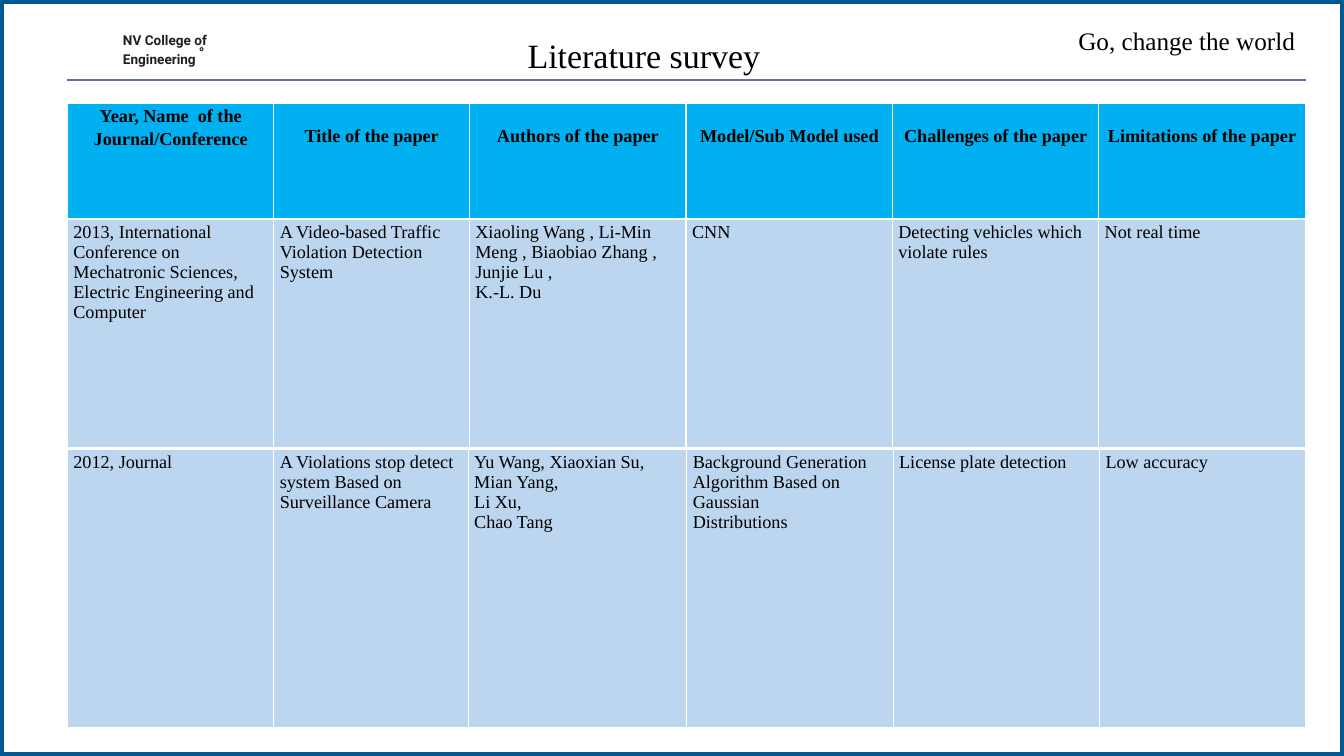
from lxml.etree import SubElement
from pptx import Presentation
from pptx.dml.color import RGBColor
from pptx.enum.shapes import MSO_CONNECTOR, MSO_SHAPE
from pptx.enum.text import MSO_ANCHOR, PP_ALIGN
from pptx.oxml.ns import qn
from pptx.util import Cm, Pt

SERIF = "Times New Roman"
HEADINGS = ["Year, Name  of the Journal/Conference", "Title of the paper",
            "Authors of the paper", "Model/Sub Model used",
            "Challenges of the paper", "Limitations of the paper"]
PAPER_2013 = ["2013, International Conference on Mechatronic Sciences, "
              "Electric Engineering and Computer",
              "A Video-based Traffic Violation Detection System",
              "Xiaoling Wang , Li-Min Meng , Biaobiao Zhang , Junjie Lu ,\nK.-L. Du",
              "CNN", "Detecting vehicles which violate rules", "Not real time"]
PAPER_2012 = ["2012, Journal",
              "A Violations stop detect system Based on\nSurveillance Camera",
              "Yu Wang, Xiaoxian Su, Mian Yang,\nLi Xu,\nChao Tang",
              "Background Generation Algorithm Based on Gaussian\nDistributions",
              "License plate detection", "Low accuracy"]


def rgb(color):
    return RGBColor.from_string(color)


def style_text(tf, size, font=SERIF, color="000000", bold=False,
               align=PP_ALIGN.LEFT, spacing=None):
    for p in tf.paragraphs:
        p.alignment = align
        p.line_spacing = spacing
        p.font.size = Pt(size)
        p.font.name = font
        p.font.bold = bold
        p.font.color.rgb = rgb(color)


def add_text(s, x, y, w, h, text, size, **style):
    tf = s.shapes.add_textbox(Cm(x), Cm(y), Cm(w), Cm(h)).text_frame
    tf.word_wrap = True
    tf.text = text
    style_text(tf, size, **style)
    return tf


def add_frame(s, w, h):
    sp = s.shapes.add_shape(MSO_SHAPE.RECTANGLE, 0, 0, w, h)
    sp.shadow.inherit = False
    sp.fill.solid()
    sp.fill.fore_color.rgb = rgb("FFFFFF")
    sp.line.color.rgb = rgb("005893")
    sp.line.width = Pt(6)


def add_header(s, x, y, w):
    # Rule under the header
    rule = s.shapes.add_connector(MSO_CONNECTOR.STRAIGHT, Cm(x), Cm(y + 1.27),
                                  Cm(x + w), Cm(y + 1.27))
    rule.line.color.rgb = rgb("5E6DB3")
    rule.line.width = Pt(1.25)
    SubElement(rule._element.spPr, qn("a:effectLst"))

    # College name and its small mark
    tf = add_text(s, x + 1.37, y - 0.02, 2.31, 0.84, "NV College of\nEngineering",
                  9.7, font="Roboto", color="231F20", bold=True, spacing=1.12)
    tf.margin_left = tf.margin_top = Cm(0.03)
    tf.margin_right = tf.margin_bottom = 0
    tf.paragraphs[1].space_before = Pt(0.8)
    mark = s.shapes.add_shape(MSO_SHAPE.DONUT, Cm(x + 3.33), Cm(y + 0.45),
                              Cm(0.1), Cm(0.1))
    mark.shadow.inherit = False
    mark.fill.solid()
    mark.fill.fore_color.rgb = rgb("231F20")
    mark.line.fill.background()

    # Motto and title
    tf = add_text(s, x + w - 6.23, y - 0.07, 6.2, 0.79, "Go, change the world", 18,
                  align=PP_ALIGN.RIGHT, spacing=0.9)
    tf.vertical_anchor = MSO_ANCHOR.MIDDLE
    add_text(s, x + 8.18, y, 12.7, 1.3, "Literature survey", 24.3,
             align=PP_ALIGN.CENTER)


def add_borders(cell):
    tc_pr = cell._tc.get_or_add_tcPr()
    for side, width in (("L", 1), ("R", 1), ("T", 1), ("B", 3)):
        ln = SubElement(tc_pr, qn(f"a:ln{side}"), w=str(Pt(width)))
        fill = SubElement(ln, qn("a:solidFill"))
        SubElement(fill, qn("a:srgbClr"), val="FFFFFF")


def add_row_table(s, x, y, widths, h, texts, heading=False):
    tbl = s.shapes.add_table(1, len(texts), Cm(x), Cm(y), Cm(sum(widths)),
                             Cm(h)).table
    tbl.first_row = tbl.horz_banding = False
    for i, (width, text) in enumerate(zip(widths, texts)):
        tbl.columns[i].width = Cm(width)
        cell = tbl.cell(0, i)
        add_borders(cell)
        cell.fill.solid()
        cell.fill.fore_color.rgb = rgb("00B0F0" if heading else "BBD6EE")
        cell.text = text
        if heading:
            # One-line headings sit lower than the two-line first one
            cell.margin_left = cell.margin_right = Cm(0.13)
            cell.margin_top = Cm(0.5 if i else 0)
            cell.margin_bottom = 0
            style_text(cell.text_frame, 13, bold=True, align=PP_ALIGN.CENTER,
                       spacing=1.15)
        else:
            cell.margin_left = cell.margin_right = Cm(0.15)
            cell.margin_top = cell.margin_bottom = Cm(0.08)
            style_text(cell.text_frame, 13)


def add_survey(s, x, y):
    widths = [5.2, 4.93, 5.46, 5.2, 5.2, 5.2]
    last_widths = [5.2, 4.9, 5.51, 5.2, 5.2, 5.2]
    rows = [(2.92, widths, HEADINGS), (5.79, widths, PAPER_2013),
            (7.04, last_widths, PAPER_2012)]
    for h, cols, texts in rows:
        add_row_table(s, x, y, cols, h, texts, heading=texts is HEADINGS)
        y += h


def main():
    prs = Presentation()
    prs.slide_width, prs.slide_height = Cm(33.87), Cm(19.05)
    s = prs.slides.add_slide(prs.slide_layouts[6])
    add_frame(s, prs.slide_width, prs.slide_height)
    add_header(s, 1.7, 0.74, 31.22)
    add_survey(s, 1.7, 2.61)
    prs.save("out.pptx")


if __name__ == "__main__":
    main()
